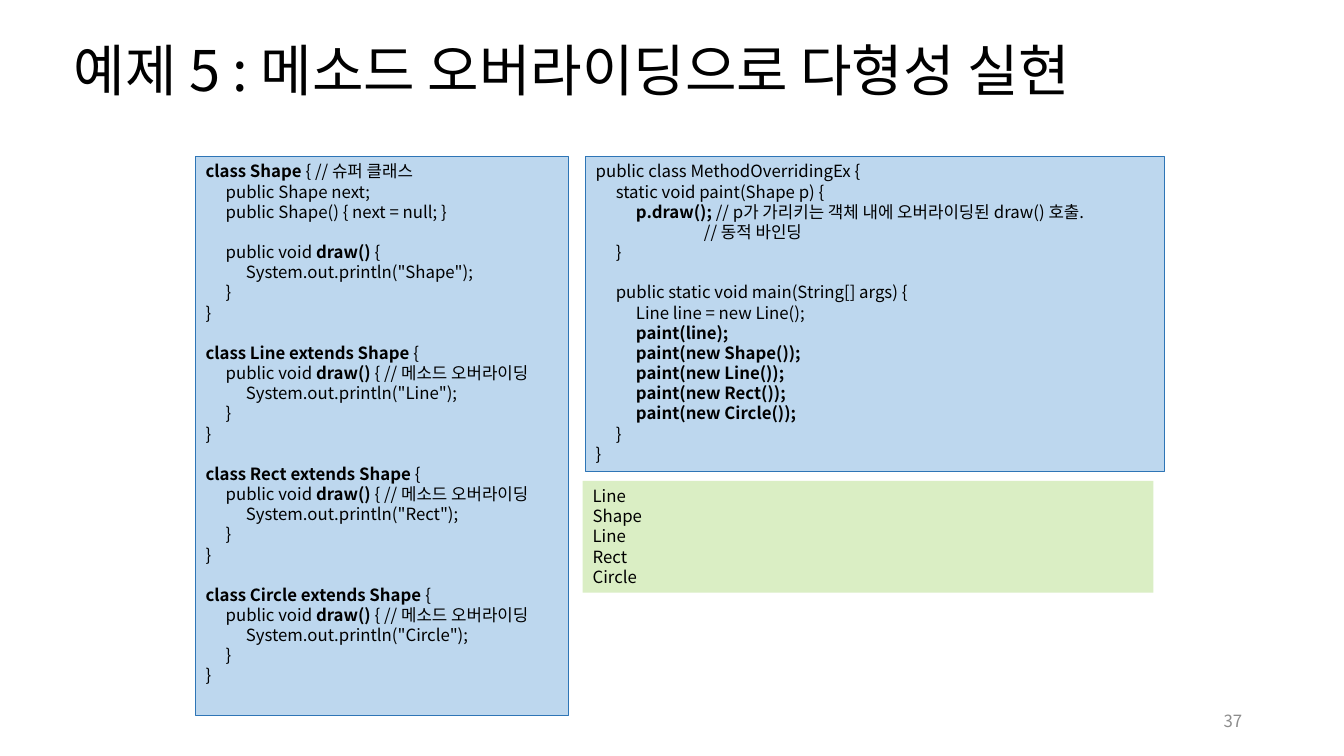
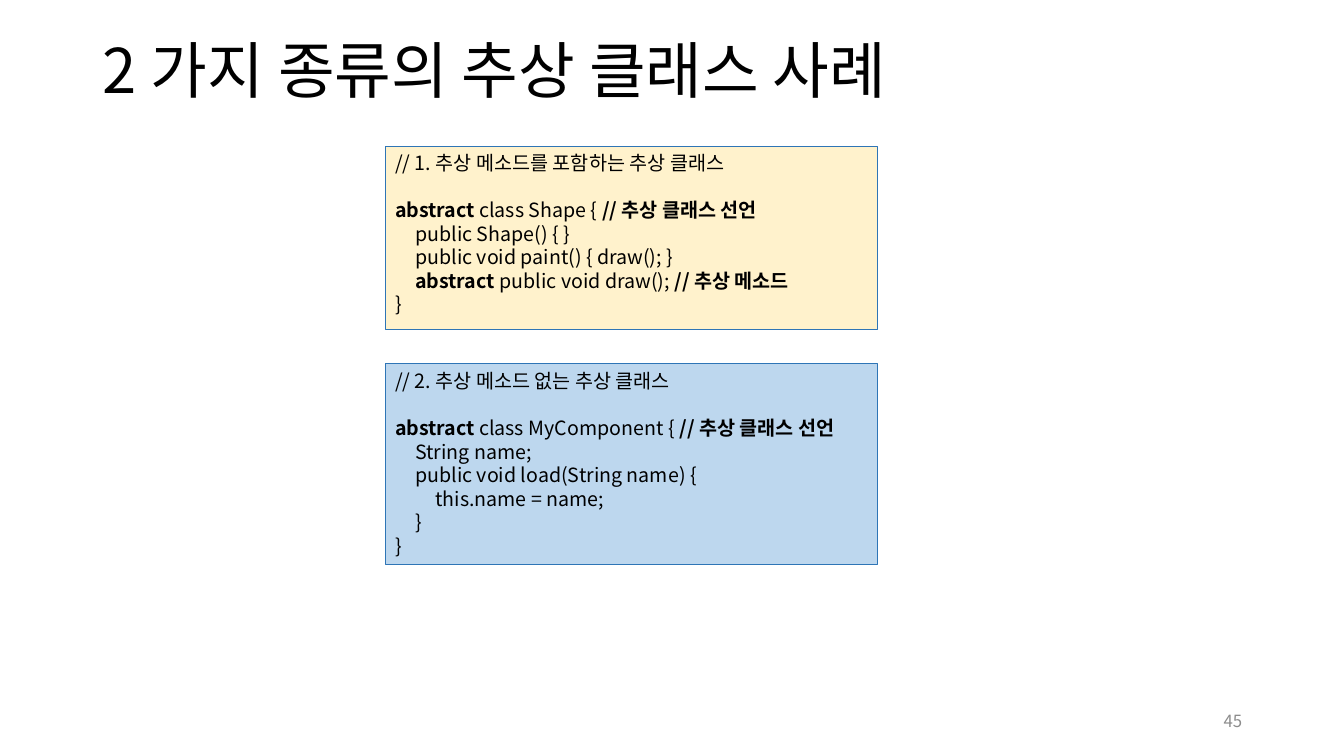
"""Build two Java lecture slides: method overriding and abstract classes."""
from pptx import Presentation
from pptx.dml.color import RGBColor
from pptx.enum.shapes import MSO_SHAPE
from pptx.enum.text import MSO_ANCHOR, MSO_AUTO_SIZE, PP_ALIGN
from pptx.oxml.ns import qn
from pptx.util import Inches, Pt
from lxml.etree import SubElement

FONT = "Noto Sans CJK KR"
BLACK = RGBColor(0x00, 0x00, 0x00)
GRAY = RGBColor(0x8C, 0x8C, 0x8C)
BLUE = RGBColor(0xBD, 0xD7, 0xEE)
BORDER = RGBColor(0x2E, 0x75, 0xB6)
GREEN = RGBColor(0xDA, 0xEE, 0xC4)
CREAM = RGBColor(0xFF, 0xF2, 0xCC)
INDENT = "    "
TAB_STOPS = 5

SHAPE_CLASS = """*class Shape *{ // 슈퍼 클래스
    public Shape next;
    public Shape() { next = null; }

    public void *draw() *{
        System.out.println("Shape");
    }
}"""

SUBCLASS = """*class NAME extends Shape *{
    public void *draw() *{ // 메소드 오버라이딩
        System.out.println("NAME");
    }
}"""

MAIN_CLASS = """public class MethodOverridingEx {
    static void paint(Shape p) {
        *p.draw(); *// p가 가리키는 객체 내에 오버라이딩된 draw() 호출.
                      // 동적 바인딩
    }

    public static void main(String[] args) {
        Line line = new Line();
        *paint(line);*
        *paint(new Shape());*
        *paint(new Line());*
        *paint(new Rect());*
        *paint(new Circle());*
    }
}"""

OUTPUT = """Line
Shape
Line
Rect
Circle"""

WITH_ABSTRACT = """// 1. 추상 메소드를 포함하는 추상 클래스

*abstract *class Shape { *// 추상 클래스 선언*
    public Shape() { }
    public void paint() { draw(); }
    *abstract *public void draw(); *// 추상 메소드*
}"""

WITHOUT_ABSTRACT = """// 2. 추상 메소드 없는 추상 클래스

*abstract* class MyComponent { *// 추상 클래스 선언*
    String name;
    public void load(String name) {
        this.name = name;
    }
}"""

SUBCLASSES = [SUBCLASS.replace("NAME", name) for name in ("Line", "Rect", "Circle")]
CLASSES = "\n\n".join([SHAPE_CLASS] + SUBCLASSES)

SLIDES = [
    ("예제 5 : 메소드 오버라이딩으로 다형성 실현", 40, 0.63, 12.31, "37", 12, [
        (CLASSES, 1.94, 1.55, 3.7, 5.55, BLUE, BORDER),
        (MAIN_CLASS, 5.81, 1.55, 5.74, 3.13, BLUE, BORDER),
        (OUTPUT, 5.78, 4.77, 5.66, 1.11, GREEN, None),
    ]),
    ("2 가지 종류의 추상 클래스 사례", 44, 0.92, 11.5, "45", 14, [
        (WITH_ABSTRACT, 3.82, 1.45, 4.88, 1.82, CREAM, BORDER),
        (WITHOUT_ABSTRACT, 3.82, 3.61, 4.88, 1.99, BLUE, BORDER),
    ]),
]


def add_run(p, text, size, color=BLACK, bold=False):
    r = p.add_run()
    r.text = text
    r.font.size = Pt(size)
    r.font.bold = bold
    r.font.color.rgb = color
    r.font.name = FONT
    SubElement(r.font._element, qn("a:ea"), typeface=FONT)


def add_code(s, code, size, box, fill, border):
    sp = s.shapes.add_shape(MSO_SHAPE.RECTANGLE, *map(Inches, box))
    sp.shadow.inherit = False
    sp.fill.solid()
    sp.fill.fore_color.rgb = fill
    if border is None:
        sp.line.fill.background()
    else:
        sp.line.color.rgb = border
        sp.line.width = Pt(0.75)
    tf = sp.text_frame
    tf.word_wrap = True
    tf.vertical_anchor = MSO_ANCHOR.TOP
    line_height = Pt(size * 1.2)
    p, gap = tf.paragraphs[0], 0
    for i, line in enumerate(code.splitlines()):
        if not line:
            gap = line_height
            continue
        if i:
            p = tf.add_paragraph()
        p.alignment = PP_ALIGN.LEFT
        p.line_spacing = line_height
        p.space_before = gap
        gap = 0
        tabs = SubElement(p._p.get_or_add_pPr(), qn("a:tabLst"))
        for stop in range(1, TAB_STOPS + 1):
            SubElement(tabs, qn("a:tab"), pos=str(Inches(0.2 * stop)), algn="l")
        for j, part in enumerate(line.replace(INDENT, "\t").split("*")):
            if part:
                add_run(p, part, size, bold=j % 2 == 1)


prs = Presentation()
prs.slide_width, prs.slide_height = Inches(13.33), Inches(7.5)

for title, title_size, left, width, number, code_size, blocks in SLIDES:
    s = prs.slides.add_slide(prs.slide_layouts[5])
    sp = s.shapes.title
    sp.left, sp.top, sp.width, sp.height = map(Inches, (left, 0, width, 1.45))
    tf = sp.text_frame
    tf.word_wrap = True
    tf.auto_size = MSO_AUTO_SIZE.NONE
    tf.vertical_anchor = MSO_ANCHOR.MIDDLE
    p = tf.paragraphs[0]
    p.alignment = PP_ALIGN.LEFT
    p.line_spacing = 0.9
    add_run(p, title, title_size)

    for code, x, y, w, h, fill, border in blocks:
        add_code(s, code, code_size, (x, y, w, h), fill, border)

    tf = s.shapes.add_textbox(*map(Inches, (9.42, 6.95, 3, 0.4))).text_frame
    tf.word_wrap = True
    tf.vertical_anchor = MSO_ANCHOR.MIDDLE
    p = tf.paragraphs[0]
    p.alignment = PP_ALIGN.RIGHT
    add_run(p, number, 12, GRAY)

prs.save("out.pptx")
